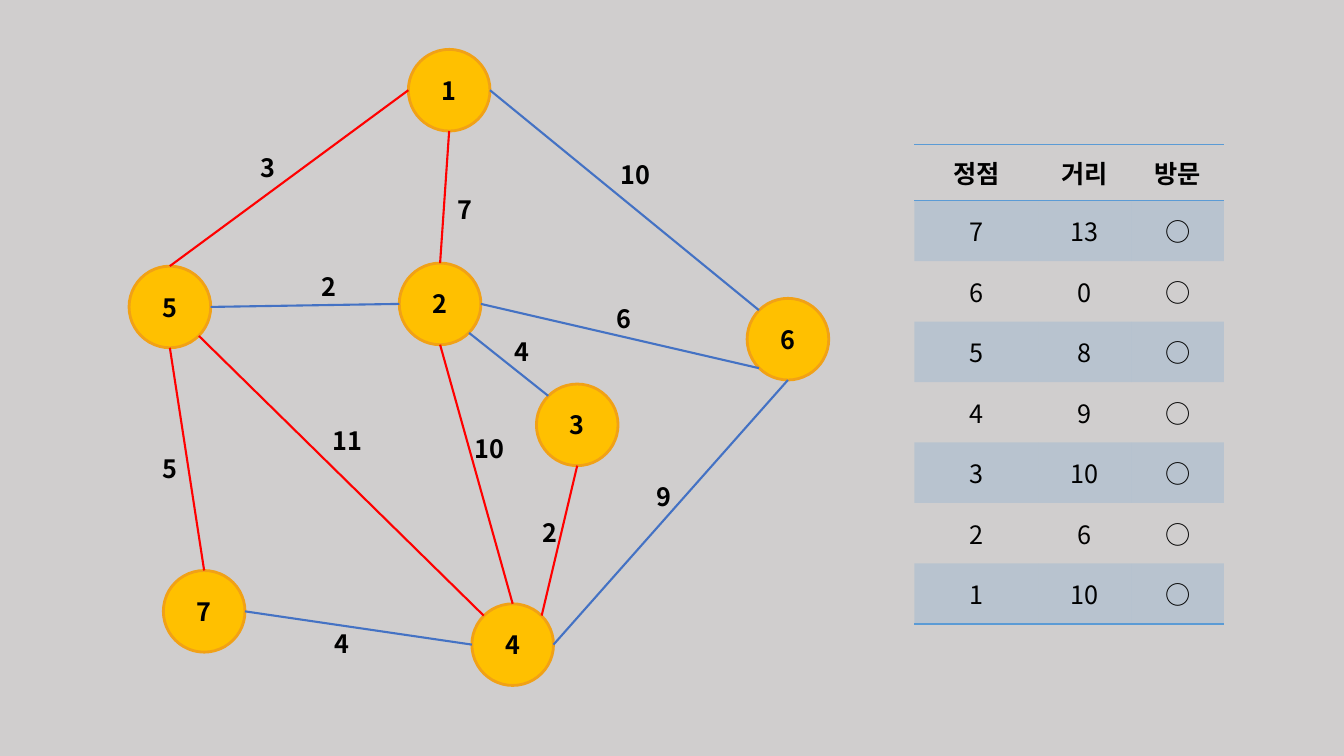
"""Build a slide with a weighted graph beside its table of distances."""
from lxml import etree
from pptx import Presentation
from pptx.dml.color import RGBColor
from pptx.enum.shapes import MSO_CONNECTOR, MSO_SHAPE
from pptx.enum.text import MSO_ANCHOR, MSO_AUTO_SIZE, PP_ALIGN
from pptx.oxml.ns import qn
from pptx.util import Inches, Pt

HEAD = ("정점", "거리", "방문")
DISTS = {7: 13, 6: 0, 5: 8, 4: 9, 3: 10, 2: 6, 1: 10}
NODES = {1: (4.05, 0.49), 6: (7.41, 2.96), 5: (1.28, 2.64), 4: (4.68, 5.99),
         7: (1.62, 5.66), 3: (5.32, 3.81), 2: (3.96, 2.61)}
SITES = {"N": (0, -1), "E": (1, 0), "S": (0, 1), "W": (-1, 0),
         "NE": (0.71, -0.71), "SE": (0.71, 0.71),
         "SW": (-0.71, 0.71), "NW": (-0.71, -0.71)}

GREY = RGBColor(0xD0, 0xCE, 0xCE)
GOLD = RGBColor(0xFF, 0xC0, 0x00)
AMBER = RGBColor(0xF1, 0xA1, 0x16)
RED = RGBColor(0xFF, 0x00, 0x00)
BLUE = RGBColor(0x44, 0x72, 0xC4)
SKY = RGBColor(0x5B, 0x9B, 0xD5)
BLACK = RGBColor(0x00, 0x00, 0x00)

EDGES = [
    (1, "E", 6, "NW", BLUE, 10, (6.06, 1.53)),
    (5, "N", 1, "W", RED, 3, (2.49, 1.46)),
    (2, "E", 6, "SW", BLUE, 6, (6.02, 2.96)),
    (3, "S", 4, "NE", RED, 2, (5.28, 5.08)),
    (4, "E", 6, "S", BLUE, 9, (6.41, 4.73)),
    (2, "SE", 3, "NW", BLUE, 4, (5, 3.29)),
    (5, "S", 7, "N", RED, 5, (1.51, 4.45)),
    (1, "S", 2, "N", RED, 7, (4.44, 1.88)),
    (5, "E", 2, "W", BLUE, 2, (3.09, 2.64)),
    (2, "S", 4, "N", RED, 10, (4.61, 4.25)),
    (7, "E", 4, "W", BLUE, 4, (3.22, 6.18)),
    (5, "SE", 4, "NW", RED, 11, (3.2, 4.17)),
]

FACE = "Noto Sans CJK KR"
FONT = {"name": FACE, "size": Pt(18)}
SIZE = 0.81
COLS = (1.23, 0.92, 0.92)
ROWS = (0.56,) + (0.6,) * len(DISTS)
OVAL = MSO_SHAPE.OVAL
LINE = MSO_CONNECTOR.STRAIGHT
MID = MSO_ANCHOR.MIDDLE
CENTER = PP_ALIGN.CENTER
LEFT = PP_ALIGN.LEFT
GROW = MSO_AUTO_SIZE.SHAPE_TO_FIT_TEXT
PLAIN = "{2D5ABB26-0587-4C30-8999-92F81FD0307C}"


def write(frame, text, align=CENTER, bold=True):
    para = frame.paragraphs[0]
    para.alignment = align
    run = para.add_run()
    run.text = str(text)
    for key, value in {**FONT, "bold": bold}.items():
        setattr(run.font, key, value)
    run.font.color.rgb = BLACK
    etree.SubElement(run._r.get_or_add_rPr(), qn("a:ea"), typeface=FACE)


def rule(cell, sides):
    props = cell._tc.get_or_add_tcPr()
    for spot, side in enumerate(sides):
        line = etree.Element(qn(f"a:ln{side}"), w=str(Pt(1)))
        solid = etree.SubElement(line, qn("a:solidFill"))
        etree.SubElement(solid, qn("a:srgbClr"), val=str(SKY))
        props.insert(spot, line)


def draw_table(shapes):
    grid = [HEAD] + [(node, dist, "○") for node, dist in DISTS.items()]
    table = shapes.add_table(len(ROWS), len(COLS), Inches(9.07), Inches(1.43),
                             Inches(sum(COLS)), Inches(sum(ROWS))).table
    table.first_row = table.horz_banding = False
    table._tbl.tblPr.find(qn("a:tableStyleId")).text = PLAIN
    for col, width in zip(table.columns, COLS):
        col.width = Inches(width)
    for row, high in zip(table.rows, ROWS):
        row.height = Inches(high)
    for r, row in enumerate(grid):
        for c, text in enumerate(row):
            cell = table.cell(r, c)
            cell.vertical_anchor = MID
            write(cell.text_frame, text, bold=r == 0)
            if r % 2:
                cell.fill.solid()
                cell.fill.fore_color.rgb = SKY
                tint = next(cell._tc.tcPr.iter(qn("a:srgbClr")))
                etree.SubElement(tint, qn("a:alpha"), val="20000")
            else:
                cell.fill.background()
            if r == 0:
                rule(cell, "TB")
            elif r == len(DISTS):
                rule(cell, "B")


def draw_node(shapes, name, spot):
    node = shapes.add_shape(OVAL, *map(Inches, spot), Inches(SIZE), Inches(SIZE))
    node.shadow.inherit = False
    node.fill.solid()
    node.fill.fore_color.rgb = GOLD
    node.line.color.rgb = AMBER
    node.line.width = Pt(2)
    node.text_frame.vertical_anchor = MID
    write(node.text_frame, name)


def find_end(name, site):
    return [Inches(at + SIZE / 2 * (1 + way))
            for at, way in zip(NODES[name], SITES[site])]


def draw_edge(shapes, start, out, stop, into, color):
    edge = shapes.add_connector(LINE, *find_end(start, out), *find_end(stop, into))
    edge.line.color.rgb = color
    edge.line.width = Pt(1.5)
    etree.SubElement(edge._element.spPr, qn("a:effectLst"))


def draw_label(shapes, cost, spot):
    width = 0.19 + 0.16 * len(str(cost))
    box = shapes.add_textbox(*map(Inches, spot), Inches(width), Inches(0.4))
    box.text_frame.word_wrap = False
    box.text_frame.auto_size = GROW
    write(box.text_frame, cost, LEFT)


def main():
    deck = Presentation()
    deck.slide_width, deck.slide_height = Inches(13.33), Inches(7.5)
    slide = deck.slides.add_slide(deck.slide_layouts[6])
    slide.background.fill.solid()
    slide.background.fill.fore_color.rgb = GREY
    draw_table(slide.shapes)
    for name, spot in NODES.items():
        draw_node(slide.shapes, name, spot)
    for *ends, cost, spot in EDGES:
        draw_edge(slide.shapes, *ends)
    for *ends, cost, spot in EDGES:
        draw_label(slide.shapes, cost, spot)
    deck.save("out.pptx")


if __name__ == "__main__":
    main()
